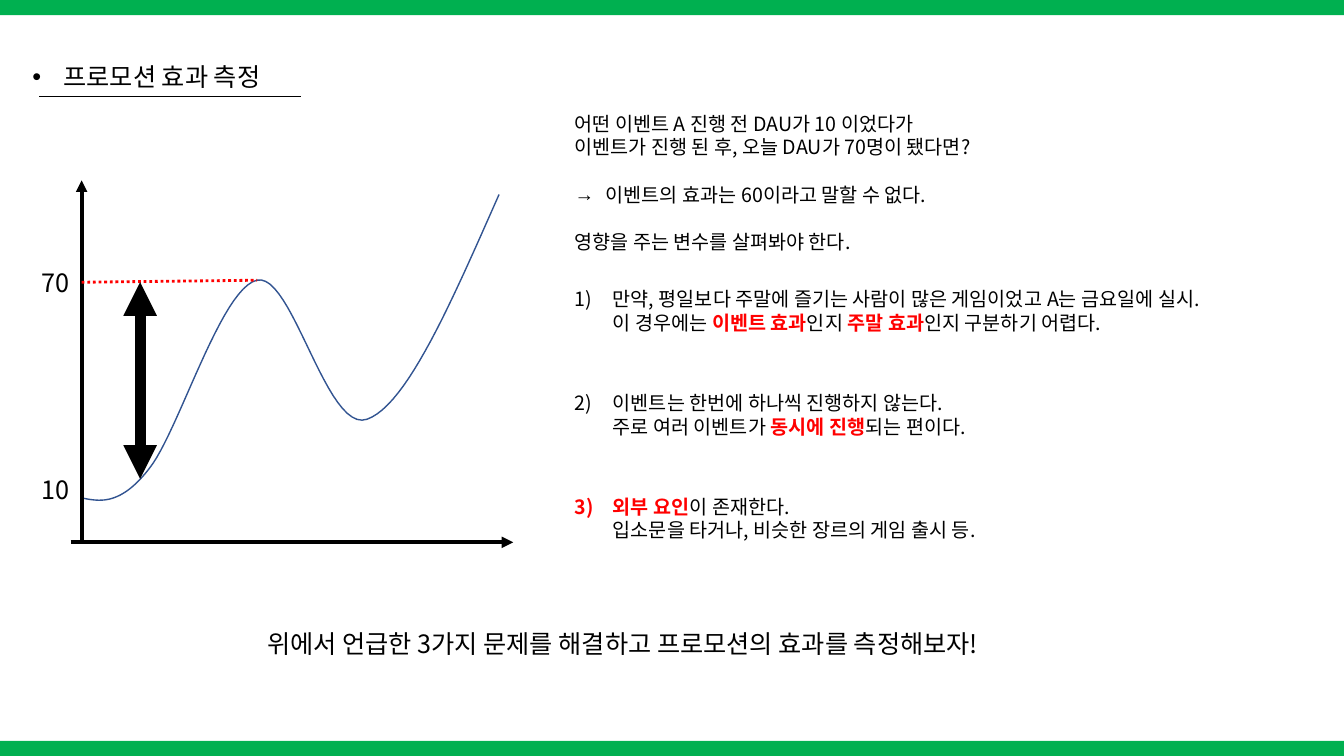
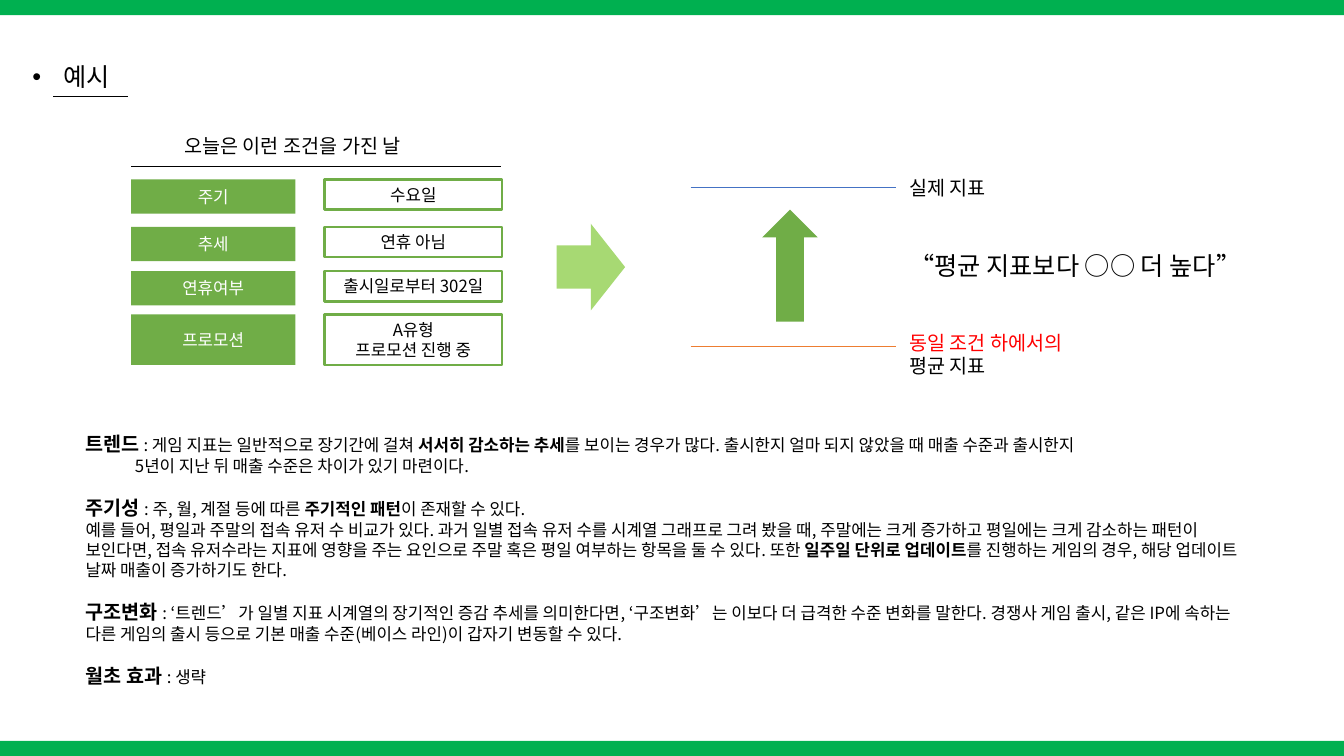
from dataclasses import dataclass

from lxml.etree import SubElement
from pptx import Presentation
from pptx.dml.color import RGBColor
from pptx.enum.dml import MSO_LINE
from pptx.enum.shapes import MSO_CONNECTOR, MSO_SHAPE
from pptx.enum.text import MSO_ANCHOR, MSO_AUTO_SIZE, PP_ALIGN
from pptx.oxml.ns import qn
from pptx.util import Inches, Pt


@dataclass(frozen=True)
class Theme:
    font: str = "Noto Sans CJK KR"
    black: str = "000000"
    white: str = "FFFFFF"
    red: str = "FF0000"
    band: str = "00B050"
    green: str = "70AD47"
    light_green: str = "92D050"
    curve: str = "325491"
    average: str = "ED7D31"
    actual: str = "4472C4"
    heading: int = 18
    body: int = 14
    small: int = 12
    hairline: float = 0.5


@dataclass(frozen=True)
class Box:
    left: float
    top: float
    width: float = 0
    height: float = 0

    def inside(self, x, y, width=0, height=0):
        return Box(self.left + x, self.top + y, width, height)

    def lengths(self):
        return [Inches(n) for n in (self.left, self.top, self.width, self.height)]


THEME = Theme()
WIDTH, HEIGHT, BAND = 13.33, 7.5, 0.15
HEADING = {"size": THEME.heading}
BODY = {"size": THEME.body}
SMALL = {"size": THEME.small}
STRONG = {"bold": True}
TERM = {"size": THEME.body, "bold": True}
ALERT = {"bold": True, "color": THEME.red}


# Text and shape helpers
def add_span(para, text, style):
    span = para.add_run()
    span.text = text
    values = {"bold": False, "color": THEME.black, **style}
    span.font.color.rgb = RGBColor.from_string(values.pop("color"))
    values.update(size=Pt(values["size"]), name=THEME.font)
    for name, value in values.items():
        setattr(span.font, name, value)
    SubElement(span.font.name and span._r.get_or_add_rPr(), qn("a:ea"), typeface=THEME.font)


def add_bullet(para, bullet):
    properties = para._p.get_or_add_pPr()
    if isinstance(bullet, int):
        SubElement(properties, qn("a:buAutoNum"), type="arabicParenR", startAt=str(bullet))
    else:
        SubElement(properties, qn("a:buFont"), typeface="Arial")
        SubElement(properties, qn("a:buChar"), char=bullet)


def write(frame, paragraphs, style, align=PP_ALIGN.LEFT, anchor=MSO_ANCHOR.TOP):
    """Each paragraph is a string or a dict with spans, gap, indent and bullet."""
    settings = {"word_wrap": True, "auto_size": MSO_AUTO_SIZE.NONE, "vertical_anchor": anchor}
    for name, value in settings.items():
        setattr(frame, name, value)
    for index, entry in enumerate(paragraphs):
        if isinstance(entry, str):
            entry = {"spans": [entry]}
        para = frame.paragraphs[0] if index == 0 else frame.add_paragraph()
        para.alignment = align
        if "gap" in entry:
            para.space_before = Pt(entry["gap"])
        if "indent" in entry:
            margin = Inches(entry["indent"])
            properties = para._p.get_or_add_pPr()
            properties.set("marL", str(margin))
            properties.set("indent", str(-margin if "bullet" in entry else 0))
        if "bullet" in entry:
            add_bullet(para, entry["bullet"])
        for span in entry["spans"]:
            text, extra = (span, {}) if isinstance(span, str) else span
            add_span(para, text, {**style, **extra})


def add_text(page, box, paragraphs, style=BODY):
    write(page.shapes.add_textbox(*box.lengths()).text_frame, paragraphs, style)


def add_block(page, box, kind=MSO_SHAPE.RECTANGLE, fill=None, line=None):
    block = page.shapes.add_shape(kind, *box.lengths())
    block.shadow.inherit = False
    if fill:
        block.fill.solid()
        block.fill.fore_color.rgb = RGBColor.from_string(fill)
    else:
        block.fill.background()
    if line:
        block.line.color.rgb = RGBColor.from_string(line)
        block.line.width = Pt(1.75)
    else:
        block.line.fill.background()
    return block


def add_line(page, start, end, color=THEME.black, width=THEME.hairline, dash=None, arrows=()):
    line = page.shapes.add_connector(
        MSO_CONNECTOR.STRAIGHT, *(Inches(n) for n in (start.left, start.top, end.left, end.top)))
    line.line.color.rgb = RGBColor.from_string(color)
    line.line.width = Pt(width)
    if dash:
        line.line.dash_style = dash
    for arrow in arrows:
        SubElement(line.line._get_or_add_ln(), qn(f"a:{arrow}"), type="triangle")
    SubElement(line.element.spPr, qn("a:effectLst"))


# Shared by both slides
def add_bands(deck, page):
    tree = deck.slide_master.element.cSld.spTree
    for index, top in enumerate((0, HEIGHT - BAND)):
        band = add_block(page, Box(0, top, WIDTH, BAND), fill=THEME.band).element
        band.nvSpPr.cNvPr.set("id", str(100 + index))
        tree.insert(2 + index, band)


def add_page(deck, title, rule_left, rule_right):
    page = deck.slides.add_slide(deck.slide_layouts[5])
    holder = page.shapes.title
    names = ("left", "top", "width", "height")
    for name, value in zip(names, Box(0.22, 0.56, 3.02, 0.4).lengths()):
        setattr(holder, name, value)
    write(holder.text_frame, [{"spans": [title], "indent": 0.31, "bullet": "•"}], HEADING)
    add_line(page, Box(rule_left, 0.96), Box(rule_right, 0.96))
    return page


# Slide 1: activity curve
def curve_points(start, segments, steps=24):
    for first, second, end in segments:
        for step in range(1, steps + 1):
            t = step / steps
            u = 1 - t
            yield tuple(u**3 * a + 3 * u * u * t * b + 3 * u * t * t * c + t**3 * d
                        for a, b, c, d in zip(start, first, second, end))
        start = end


def add_curve(page, box):
    start = (0, 3.15)
    segments = [((0.19, 3.19), (0.39, 3.22), (0.67, 2.86)),
                ((0.96, 2.5), (1.38, 1.07), (1.74, 0.99)),
                ((2.09, 0.91), (2.43, 2.51), (2.83, 2.37)),
                ((3.23, 2.23), (3.68, 1.18), (4.14, 0.14))]

    def place(point):
        return Inches(box.left + point[0]), Inches(box.top + point[1])

    builder = page.shapes.build_freeform(*place(start))
    builder.add_line_segments([place(p) for p in curve_points(start, segments)], close=False)
    curve = builder.convert_to_shape()
    curve.shadow.inherit = False
    curve.fill.background()
    curve.line.color.rgb = RGBColor.from_string(THEME.curve)
    curve.line.width = Pt(1)


def add_activity_graph(page, box):
    axis = {"width": 2.75, "arrows": ["tailEnd"]}
    add_line(page, box.inside(-0.11, 3.59), box.inside(4.28, 3.59), **axis)
    add_curve(page, box)
    add_line(page, box.inside(0, 3.58), box, **axis)
    for label, y in (("10", 2.87), ("70", 0.81)):
        add_text(page, box.inside(-0.5, y, 0.5, 0.41), [label], HEADING)
    add_line(page, box.inside(0, 1.01), box.inside(1.74, 0.99), THEME.red, 2, MSO_LINE.ROUND_DOT)
    add_line(page, box.inside(0.58, 1.01), box.inside(0.58, 2.96), width=8,
             arrows=["headEnd", "tailEnd"])


def add_argument(page, box):
    add_text(page, box.inside(0, 0, 6.92, 1.51), [
        "어떤 이벤트 A 진행 전 DAU가 10 이었다가",
        "이벤트가 진행 된 후, 오늘 DAU가 70명이 됐다면?",
        {"spans": ["이벤트의 효과는 60이라고 말할 수 없다."], "gap": 17, "indent": 0.31, "bullet": "→"},
        {"spans": ["영향을 주는 변수를 살펴봐야 한다."], "gap": 17},
    ])
    problems = [
        (["만약, 평일보다 주말에 즐기는 사람이 많은 게임이었고 A는 금요일에 실시."],
         ["이 경우에는 ", ("이벤트 효과", ALERT), "인지 ", ("주말 효과", ALERT),
          "인지 구분하기 어렵다."]),
        (["이벤트는 한번에 하나씩 진행하지 않는다."],
         ["주로 여러 이벤트가 ", ("동시에 진행", ALERT), "되는 편이다."]),
        ([("외부 요인", ALERT), "이 존재한다."],
         ["입소문을 타거나, 비슷한 장르의 게임 출시 등."]),
    ]
    for index, (claim, detail) in enumerate(problems):
        add_text(page, box.inside(0, 1.74 + 1.03 * index, 7.14, 0.57), [
            {"spans": claim, "indent": 0.38, "bullet": index + 1},
            {"spans": detail, "indent": 0.38}])


def build_measurement(deck):
    page = add_page(deck, "프로모션 효과 측정", 0.39, 2.99)
    add_activity_graph(page, Box(0.81, 1.79))
    add_argument(page, Box(5.6, 1.06))
    add_text(page, Box(2.55, 6.18, 9.21, 0.4),
             ["위에서 언급한 3가지 문제를 해결하고 프로모션의 효과를 측정해보자!"], HEADING)
    return page


# Slide 2: conditions, comparison and explanations
def add_conditions(page, box):
    add_text(page, box.inside(0.43, 0, 3.14, 0.34), ["오늘은 이런 조건을 가진 날"])
    add_line(page, box.inside(0, 0.37), box.inside(3.67, 0.37))
    rows = [(0.5, 0.34, 0.3, "주기", ["수요일"]),
            (0.97, 0.34, 0.3, "추세", ["연휴 아님"]),
            (1.41, 0.34, 0.3, "연휴여부", ["출시일로부터 302일"]),
            (1.84, 0.5, 0.5, "프로모션", ["A유형", "프로모션 진행 중"])]
    centred = {"align": PP_ALIGN.CENTER, "anchor": MSO_ANCHOR.MIDDLE}
    for top, name_height, value_height, name, value in rows:
        label = add_block(page, box.inside(0, top, 1.63, name_height), fill=THEME.green)
        write(label.text_frame, [name], {**SMALL, "color": THEME.white}, **centred)
        cell = add_block(page, box.inside(1.92, top, 1.76, value_height), line=THEME.green)
        write(cell.text_frame, value, SMALL, **centred)


def add_comparison(page, box):
    arrow = add_block(page, box.inside(0, 0.52, 0.68, 0.86), MSO_SHAPE.RIGHT_ARROW,
                      THEME.light_green)
    color = arrow.element.spPr.find(qn("a:solidFill"))[0]
    SubElement(color, qn("a:alpha"), val="80000")
    for y, line_color in ((0.16, THEME.actual), (1.74, THEME.average)):
        add_line(page, box.inside(1.33, y), box.inside(3.37, y), line_color)
    add_block(page, box.inside(2.04, 0.38, 0.55, 1.11), MSO_SHAPE.UP_ARROW, THEME.green)
    add_text(page, box.inside(3.4, 0, 1.93, 0.34), ["실제 지표"])
    add_text(page, box.inside(3.4, 0.73, 3.57, 0.4), ["“평균 지표보다 ○○ 더 높다”"], HEADING)
    add_text(page, box.inside(3.4, 1.53, 1.93, 0.57), [
        {"spans": [("동일 조건 하에서의", {"color": THEME.red})]}, "평균 지표"])


def add_explanations(page, box):
    gap = 14.4
    add_text(page, box, [
        {"spans": [("트렌드", TERM), " : 게임 지표는 일반적으로 장기간에 걸쳐 ",
                   ("서서히 감소하는 추세", STRONG),
                   "를 보이는 경우가 많다. 출시한지 얼마 되지 않았을 때 매출 수준과 출시한지"]},
        {"spans": ["5년이 지난 뒤 매출 수준은 차이가 있기 마련이다."], "indent": 0.49},
        {"spans": [("주기성 ", TERM), ": 주, 월, 계절 등에 따른 ", ("주기적인 패턴", STRONG),
                   "이 존재할 수 있다."], "gap": gap},
        {"spans": ["예를 들어, 평일과 주말의 접속 유저 수 비교가 있다. 과거 일별 접속 유저 수를 "
                   "시계열 그래프로 그려 봤을 때, 주말에는 크게 증가하고 평일에는 크게 감소하는 "
                   "패턴이 보인다면, 접속 유저수라는 지표에 영향을 주는 요인으로 주말 혹은 평일 "
                   "여부하는 항목을 둘 수 있다. 또한 ", ("일주일 단위로 업데이트", STRONG),
                   "를 진행하는 게임의 경우, 해당 업데이트 날짜 매출이 증가하기도 한다."]},
        {"spans": [("구조변화 ", TERM),
                   ": ‘트렌드’가 일별 지표 시계열의 장기적인 증감 추세를 의미한다면, ‘구조변화’는 "
                   "이보다 더 급격한 수준 변화를 말한다. 경쟁사 게임 출시, 같은 IP에 속하는 다른 "
                   "게임의 출시 등으로 기본 매출 수준(베이스 라인)이 갑자기 변동할 수 있다."],
         "gap": gap},
        {"spans": [("월초 효과 ", TERM), ": 생략"], "gap": gap},
    ], SMALL)


def build_example(deck):
    page = add_page(deck, "예시", 0.53, 1.27)
    add_conditions(page, Box(1.3, 1.28))
    add_comparison(page, Box(5.52, 1.7))
    add_explanations(page, Box(0.75, 4.24, 11.73, 2.66))


def main():
    deck = Presentation()
    deck.slide_width, deck.slide_height = Inches(WIDTH), Inches(HEIGHT)
    add_bands(deck, build_measurement(deck))
    build_example(deck)
    deck.save("out.pptx")


if __name__ == "__main__":
    main()
